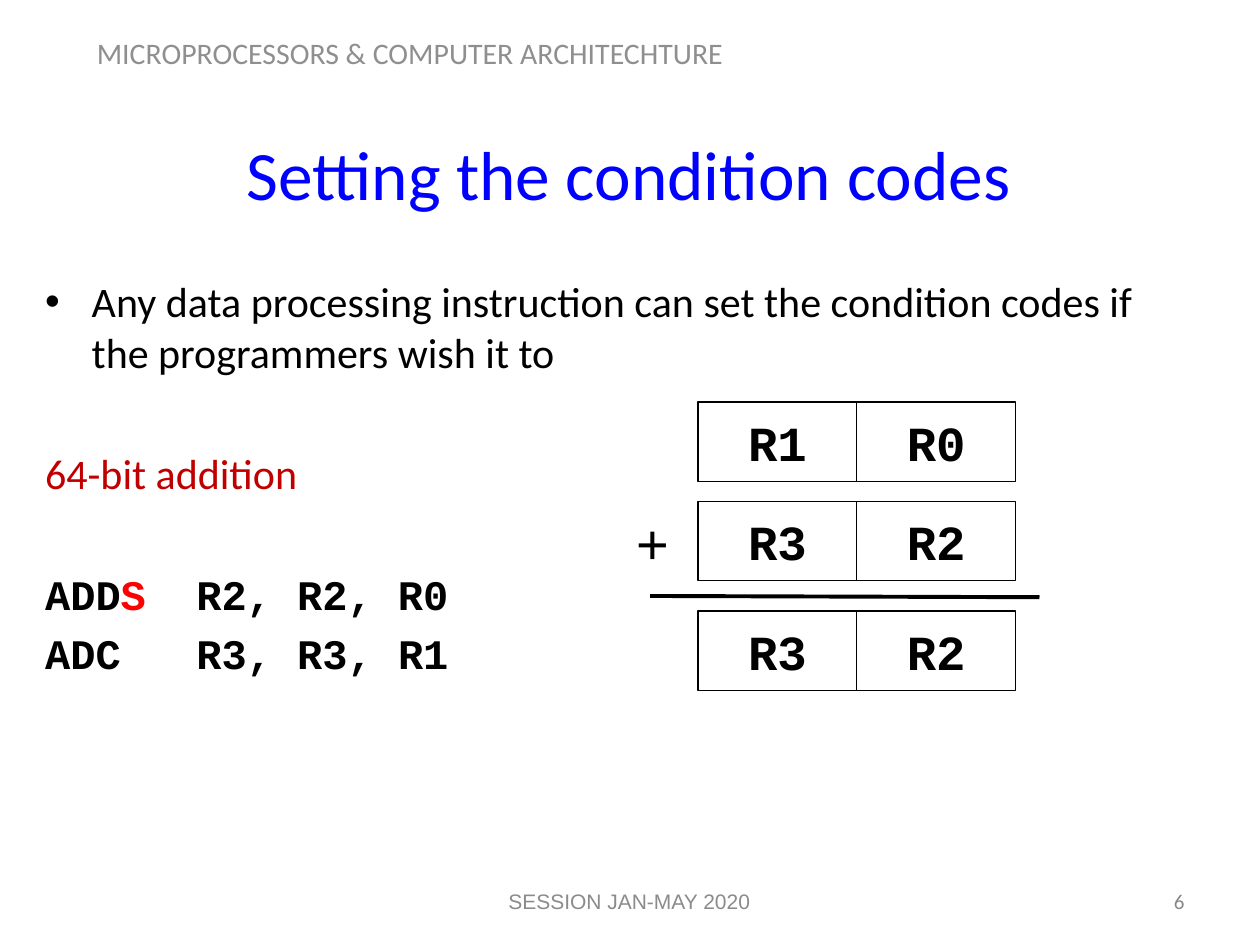
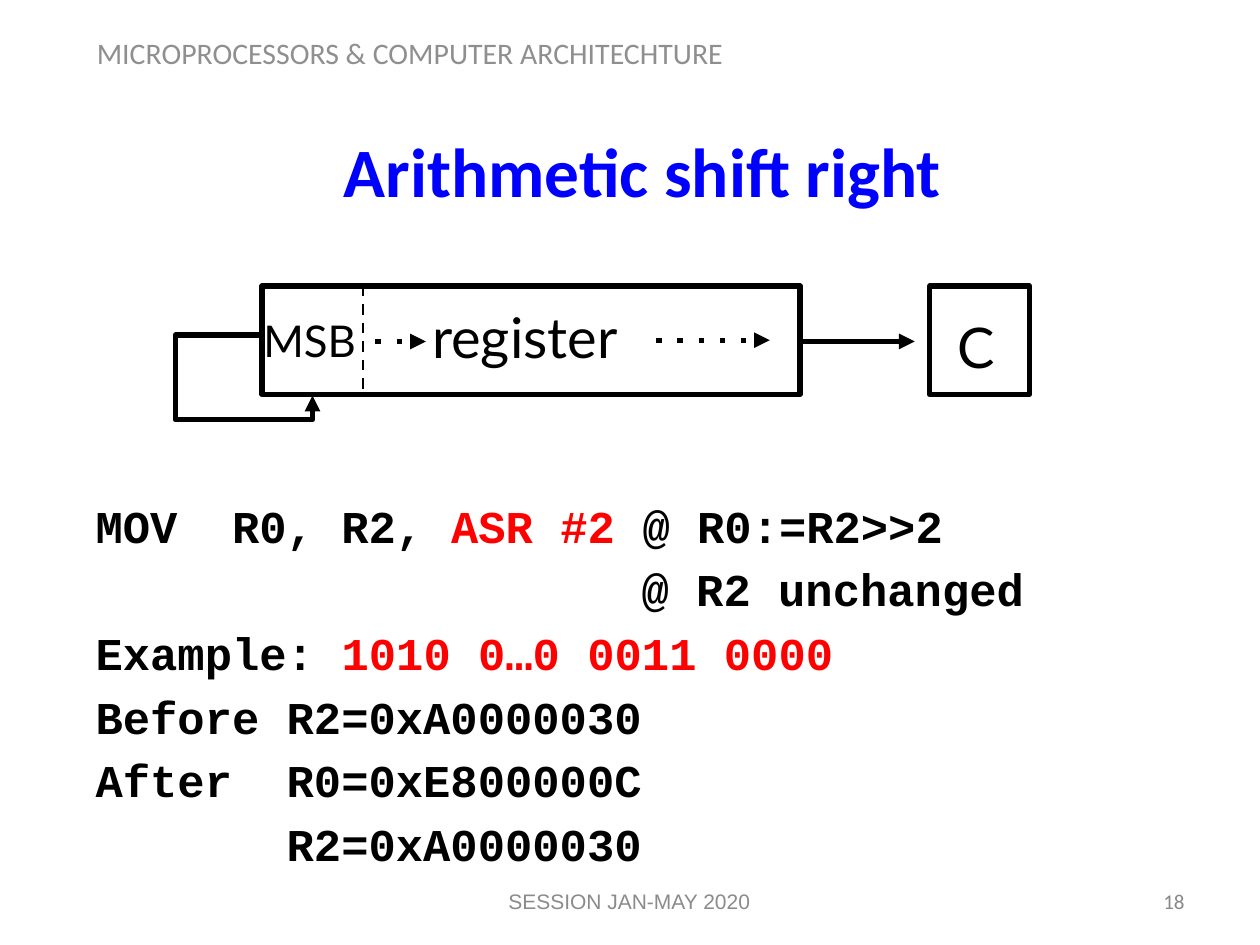
from lxml.etree import SubElement
from pptx import Presentation
from pptx.dml.color import RGBColor
from pptx.enum.shapes import MSO_CONNECTOR, MSO_SHAPE
from pptx.enum.text import MSO_ANCHOR, PP_ALIGN
from pptx.oxml.ns import qn
from pptx.util import Pt

SCALE = 9144
HUES = {"ink": "000000", "blue": "0000FF", "red": "FF0000", "brick": "C00000",
        "paper": "FFFFFF", "page": "888888", "foot": "8B8B8B"}
SIDES = {"left": PP_ALIGN.LEFT, "mid": PP_ALIGN.CENTER, "right": PP_ALIGN.RIGHT}
CODE = "Courier New"


class Deck:
    """Holds the shared style and the current slide."""

    def __init__(self):
        self.show = Presentation()
        self.show.slide_width = 1000 * SCALE
        self.show.slide_height = 750 * SCALE
        self.slide = None

    def hue(self, name):
        return RGBColor.from_string(HUES[name])

    def start(self, title, box, bold=False):
        self.slide = self.show.slides.add_slide(self.show.slide_layouts[6])
        self.text((67, 23, 655, 40), "MICROPROCESSORS & COMPUTER ARCHITECHTURE", 17)
        self.veil((56, 15, 693, 40))
        self.text(box, title, 39.6, hue="blue", bold=bold, side="mid", mid=True)

    def close(self, page):
        self.text((717, 695, 233, 40), page, 12, hue="page", side="right", mid=True)
        self.text((331, 695, 337, 40), "SESSION JAN-MAY 2020", 12, "Arial", "foot",
                  side="mid", mid=True)

    def frame(self, shape, pad=(10, 5), mid=False):
        frame = shape.text_frame
        frame.word_wrap = True
        frame.margin_left = frame.margin_right = pad[0] * SCALE
        frame.margin_top = frame.margin_bottom = pad[1] * SCALE
        frame.vertical_anchor = MSO_ANCHOR.MIDDLE if mid else MSO_ANCHOR.TOP
        return frame

    def area(self, box, pad=(10, 5), mid=False):
        return self.frame(self.slide.shapes.add_textbox(*(n * SCALE for n in box)), pad, mid)

    def runs(self, para, parts, size, font, bold=False):
        for words, hue in parts:
            run = para.add_run()
            run.text = words
            run.font.size = Pt(size)
            run.font.name = font
            run.font.bold = bold
            run.font.color.rgb = self.hue(hue)

    def text(self, box, words, size, font="Calibri", hue="ink", bold=False,
             side="left", mid=False, pad=(10, 5)):
        para = self.area(box, pad, mid).paragraphs[0]
        para.alignment = SIDES[side]
        self.runs(para, [(words, hue)], size, font, bold)

    def item(self, frame, parts, size, font="Calibri", bold=False, gap=0, dot=False):
        para = frame.paragraphs[0] if not frame.text else frame.add_paragraph()
        props = para._p.get_or_add_pPr()
        props.set("marL", str(38 * SCALE))
        props.set("indent", str(-37 * SCALE))
        if dot:
            SubElement(props, qn("a:buFont")).set("typeface", "Arial")
            SubElement(props, qn("a:buChar")).set("char", "•")
        else:
            SubElement(props, qn("a:buNone"))
        if gap:
            para.space_before = Pt(gap)
        self.runs(para, parts, size, font, bold)

    def pen(self, line, width, hue="ink", dash=None, arrow=False):
        line.color.rgb = self.hue(hue)
        line.width = Pt(width)
        node = line._get_or_add_ln()
        if dash:
            SubElement(node, qn("a:prstDash")).set("val", dash)
        if arrow:
            SubElement(node, qn("a:tailEnd")).set("type", "triangle")

    def rect(self, box, width, hue="ink"):
        shape = self.slide.shapes.add_shape(MSO_SHAPE.RECTANGLE, *(n * SCALE for n in box))
        shape.shadow.inherit = False
        shape.fill.background()
        self.pen(shape.line, width, hue)
        return shape

    def veil(self, box):
        shape = self.rect(box, 2, "paper")
        shape.fill.solid()
        shape.fill.fore_color.rgb = self.hue("paper")
        tint = shape._element.spPr.find(qn("a:solidFill")).find(qn("a:srgbClr"))
        SubElement(tint, qn("a:alpha")).set("val", "56000")

    def cell(self, box, words):
        para = self.frame(self.rect(box, 0.75), mid=True).paragraphs[0]
        para.alignment = PP_ALIGN.CENTER
        self.runs(para, [(words, "ink")], 28, CODE, True)

    def line(self, ends, width, dash=None, arrow=False):
        link = self.slide.shapes.add_connector(MSO_CONNECTOR.STRAIGHT,
                                               *(n * SCALE for n in ends))
        self.pen(link.line, width, dash=dash, arrow=arrow)
        SubElement(link._element.spPr, qn("a:effectLst"))

    def route(self, spots, width):
        form = self.slide.shapes.build_freeform(*spots[0], scale=SCALE)
        form.add_line_segments(spots[1:], close=False)
        shape = form.convert_to_shape()
        shape.shadow.inherit = False
        shape.fill.background()
        self.pen(shape.line, width, arrow=True)


def codes(deck):
    deck.start("Setting the condition codes", (49, 102, 900, 70))
    body = deck.area((25, 214, 900, 395))
    deck.item(body, [("Any data processing instruction can set the condition codes "
                      "if the programmers wish it to", "ink")], 24, dot=True)
    deck.item(body, [("64-bit addition", "brick")], 24, gap=40.5)
    deck.item(body, [("ADD", "ink"), ("S", "red"), ("  R2, R2, R0", "ink")],
              24, CODE, True, 40.5)
    deck.item(body, [("ADC   R3, R3, R1", "ink")], 24, CODE, True, 4.8)
    sums = {319: ("R1", "R0"), 398: ("R3", "R2"), 485: ("R3", "R2")}
    for top, pair in sums.items():
        for col, name in enumerate(pair):
            deck.cell((554 + 126 * col, top, 126, 63), name)
    deck.line((516, 473, 825, 474), 2.25)
    deck.text((495, 399, 46, 63), "+", 32, "Arial")
    deck.close("6")


def shift(deck):
    deck.start("Arithmetic shift right", (60, 107, 900, 55), True)
    body = deck.area((65, 390, 885, 325))
    rows = [
        [("MOV  R0, R2, ", "ink"), ("ASR #2 ", "red"), ("@ R0:=R2>>2", "ink")],
        [("                    @ R2 unchanged", "ink")],
        [("Example: ", "ink"), ("1010 0…0 0011 0000", "red")],
        [("Before R2=0xA0000030", "ink")],
        [("After  R0=0xE800000C", "ink")],
        [("       R2=0xA0000030", "ink")],
    ]
    for i, parts in enumerate(rows):
        deck.item(body, parts, 26, CODE, True, 5.2 if i else 0)
    deck.rect((208, 227, 427, 86), 3)
    deck.line((636, 271, 726, 271), 3, arrow=True)
    deck.line((298, 271, 338, 271), 3, "dot", True)
    deck.line((288, 227, 288, 314), 1.5, "dash")
    deck.route([(208, 266), (139, 266), (139, 333), (248, 333), (248, 314)], 3)
    deck.rect((738, 227, 79, 86), 3)
    deck.line((521, 270, 611, 270), 3, "dot", True)
    tags = [("MSB", (197, 243, 160, 54), 25), ("register", (331, 234, 236, 66), 32),
            ("C", (748, 242, 51, 66), 32)]
    for words, box, size in tags:
        deck.text(box, words, size, "Lato", pad=(12, 6))
    deck.close("18")


def main():
    deck = Deck()
    codes(deck)
    shift(deck)
    deck.show.save("out.pptx")


if __name__ == "__main__":
    main()
